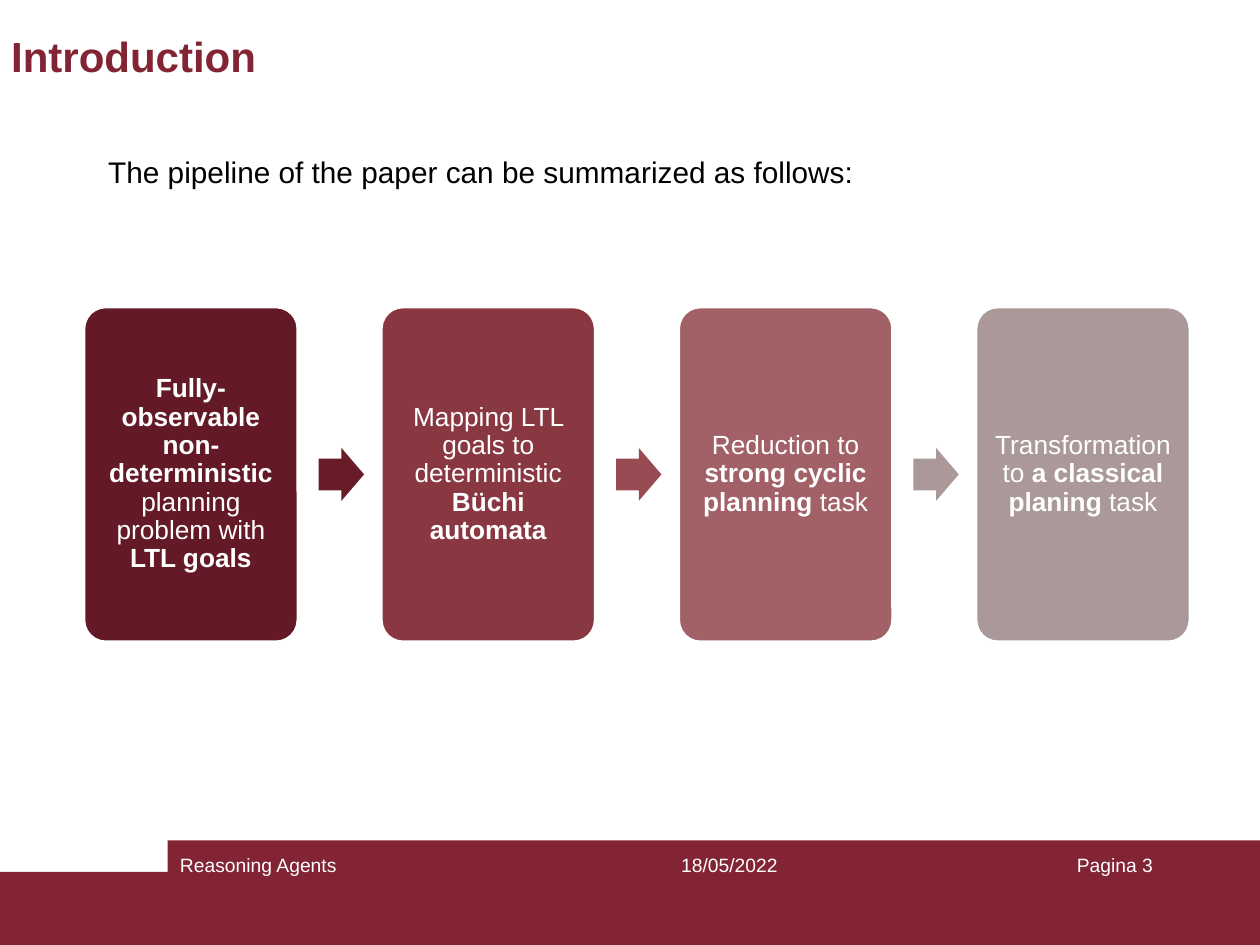
"""Build the Introduction slide with a four-step pipeline."""
from pptx import Presentation
from pptx.dml.color import RGBColor
from pptx.enum.shapes import MSO_SHAPE as SHAPE
from pptx.enum.text import MSO_ANCHOR as ANCHOR, PP_ALIGN as ALIGN
from pptx.util import Inches, Pt

WINE = RGBColor(0x82, 0x24, 0x33)
WHITE = RGBColor(0xFF, 0xFF, 0xFF)
BLACK = RGBColor(0, 0, 0)
BOX_COLORS = [RGBColor(0x64, 0x1A, 0x26), RGBColor(0x89, 0x38, 0x42),
              RGBColor(0xA2, 0x60, 0x67), RGBColor(0xAB, 0x99, 0x9A)]
ARROW_COLORS = [RGBColor(0x69, 0x1C, 0x28), RGBColor(0x99, 0x4B, 0x54),
                RGBColor(0xAB, 0x98, 0x99)]

STEPS = [
    [("Fully-observable non-deterministic ", True),
     ("planning problem with ", False), ("LTL goals", True)],
    [("Mapping LTL goals to deterministic ", False), ("Büchi automata", True)],
    [("Reduction to ", False), ("strong cyclic planning ", True), ("task", False)],
    [("Transformation to ", False), ("a classical planing ", True), ("task", False)],
]
BANDS = [(0, 6.92, 10, 0.58), (1.33, 6.67, 8.67, 0.83)]
LABELS = [
    ("Introduction", (-0.01, 0.17, 10.01, 0.55), 24, WINE, True, ALIGN.LEFT, ANCHOR.MIDDLE),
    ("The pipeline of the paper can be summarized as follows:",
     (0.76, 1.17, 8.68, 0.39), 17, BLACK, False, ALIGN.LEFT, ANCHOR.TOP),
    ("Reasoning Agents", (1.33, 6.72, 3.17, 0.5), 11, WHITE, False, ALIGN.LEFT, ANCHOR.TOP),
    ("18/05/2022", (4.75, 6.72, 2.08, 0.5), 11, WHITE, False, ALIGN.CENTER, ANCHOR.TOP),
    ("Pagina 3", (7.17, 6.72, 2.08, 0.5), 11, WHITE, False, ALIGN.RIGHT, ANCHOR.TOP),
]
LEFT, TOP, BOX_W, BOX_H, PITCH = 0.67, 2.44, 1.69, 2.65, 2.36
ARROW_W, ARROW_H, ARROW_GAP = 0.36, 0.42, 0.17
MARGINS = ("margin_left", "margin_top", "margin_right", "margin_bottom")


def add_shape(s, kind, at, color, adjustments=()):
    sp = s.shapes.add_shape(kind, *map(Inches, at))
    sp.shadow.inherit = False
    sp.fill.solid()
    sp.fill.fore_color.rgb = color
    sp.line.fill.background()
    for i, value in enumerate(adjustments):
        sp.adjustments[i] = value
    return sp


def write(sp, runs, size, color, align, anchor, **paragraph_format):
    tf = sp.text_frame
    tf.word_wrap = True
    tf.vertical_anchor = anchor
    p = tf.paragraphs[0]
    for name, value in {"alignment": align, **paragraph_format}.items():
        setattr(p, name, value)
    for text, bold in runs:
        r = p.add_run()
        r.text = text
        for name, value in {"name": "Arial", "size": Pt(size), "bold": bold}.items():
            setattr(r.font, name, value)
        r.font.color.rgb = color


def add_step(s, i, runs):
    x = LEFT + i * PITCH
    sp = add_shape(s, SHAPE.ROUNDED_RECTANGLE, (x, TOP, BOX_W, BOX_H), BOX_COLORS[i], [0.1])
    sp.line.color.rgb = WHITE
    sp.line.width = Pt(1)
    for name in MARGINS:
        setattr(sp.text_frame, name, Inches(0.06))
    write(sp, runs, 15, WHITE, ALIGN.CENTER, ANCHOR.MIDDLE, line_spacing=0.9)
    if i < len(ARROW_COLORS):
        at = (x + BOX_W + ARROW_GAP, TOP + (BOX_H - ARROW_H) / 2, ARROW_W, ARROW_H)
        add_shape(s, SHAPE.RIGHT_ARROW, at, ARROW_COLORS[i], [0.6, 0.5])


def main():
    prs = Presentation()
    prs.slide_width, prs.slide_height = Inches(10), Inches(7.5)
    s = prs.slides.add_slide(prs.slide_layouts[6])
    for at in BANDS:
        add_shape(s, SHAPE.RECTANGLE, at, WINE)
    for text, at, size, color, bold, align, anchor in LABELS:
        sp = s.shapes.add_textbox(*map(Inches, at))
        write(sp, [(text, bold)], size, color, align, anchor)
    for i, runs in enumerate(STEPS):
        add_step(s, i, runs)
    prs.save("out.pptx")


if __name__ == "__main__":
    main()
